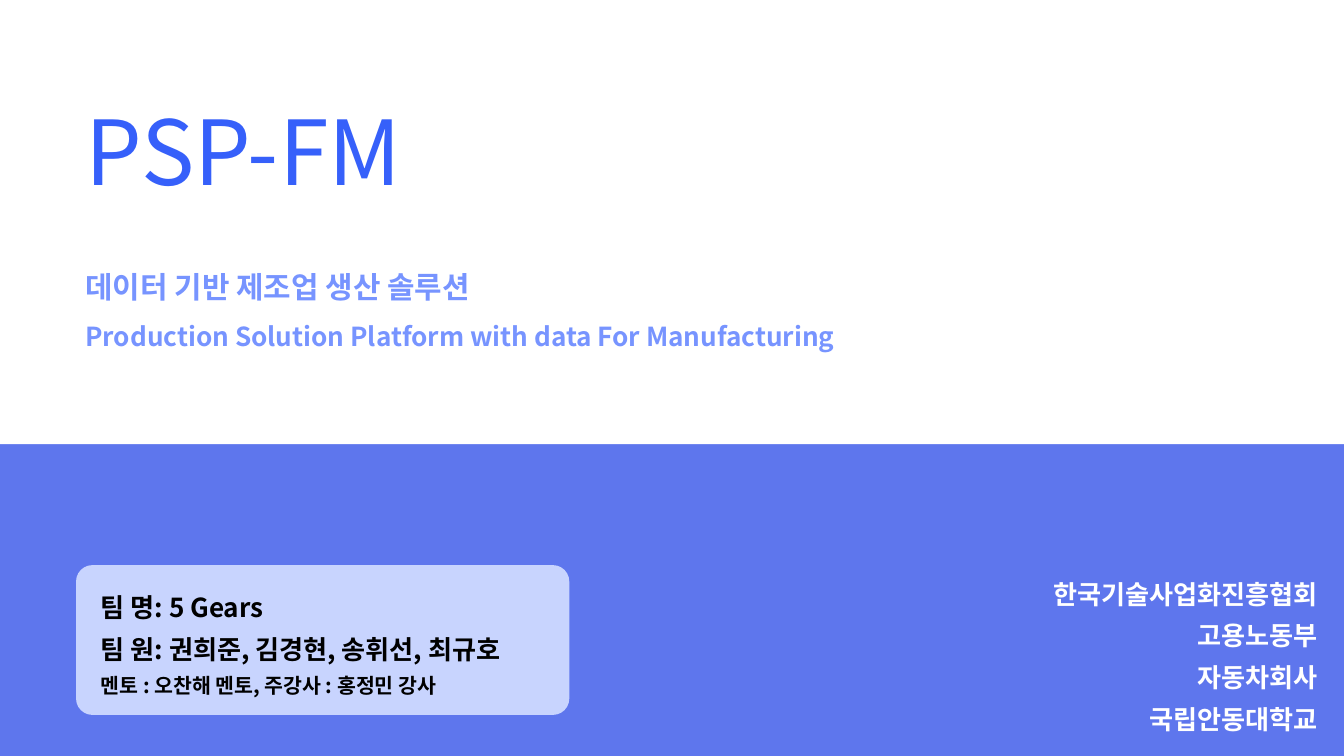
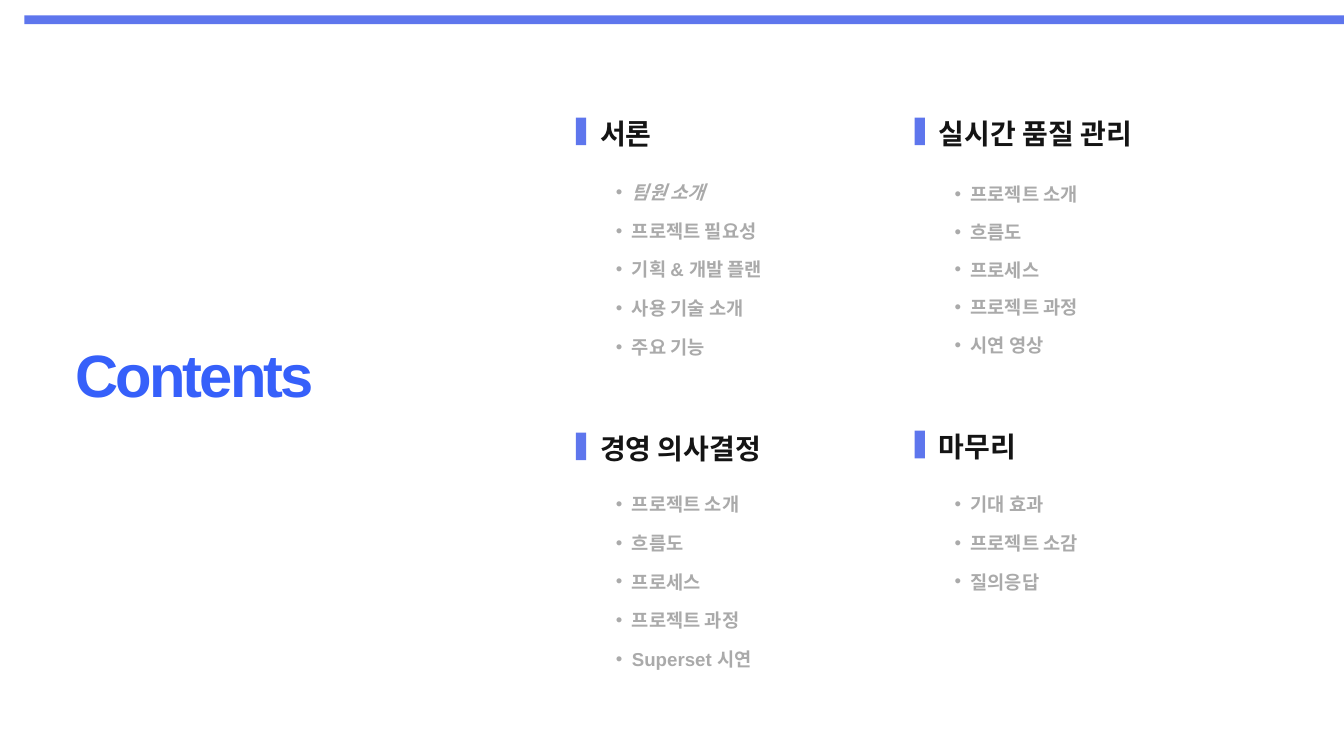
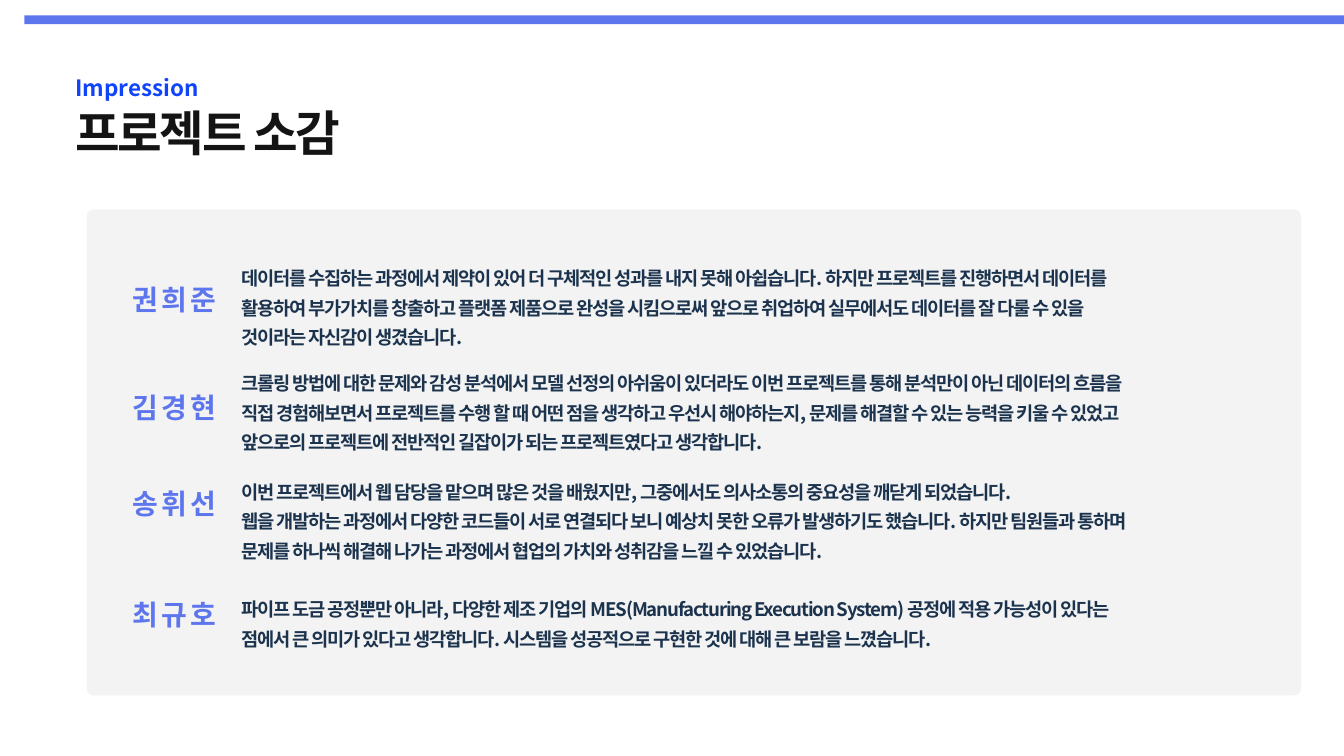
import pptx
import pptx.util
import pptx.dml.color
import pptx.enum.shapes
import pptx.enum.text
from lxml import etree

Pt = pptx.util.Pt
RGB = pptx.dml.color.RGBColor
SHAPE = pptx.enum.shapes.MSO_SHAPE
ALIGN = pptx.enum.text.PP_ALIGN
A = "{http://schemas.openxmlformats.org/drawingml/2006/main}"

COLORS = {
    "band": "5E76ED", "title": "3660FA", "subtitle": "7794FF", "label": "1044FB",
    "team": "C8D4FE", "panel": "F3F3F3", "white": "FFFFFF", "black": "000000",
    "heading": "141414", "item": "AAAAAA", "comment": "1C334E",
}
NOTO, ARIAL = "Noto Sans CJK KR", "Arial"

# font: attributes of the run font; line: exact line spacing; tracking: points
STYLES = {
    "project": {"font": {"name": NOTO, "size": Pt(96)}, "color": "title", "line": 115.2},
    "subtitle": {"font": {"name": NOTO, "size": Pt(32), "bold": True}, "color": "subtitle", "line": 38.4},
    "english": {"font": {"name": NOTO, "size": Pt(28), "bold": True}, "color": "subtitle", "line": 33.6},
    "team": {"font": {"name": NOTO, "size": Pt(28), "bold": True}, "color": "black", "line": 44.6},
    "mentor": {"font": {"name": NOTO, "size": Pt(22), "bold": True}, "color": "black", "line": 35},
    "partner": {"font": {"name": NOTO, "size": Pt(28), "bold": True}, "color": "white", "line": 44.6,
                "align": ALIGN.RIGHT},
    "contents": {"font": {"name": ARIAL, "size": Pt(64), "bold": True}, "color": "title", "line": 70.1,
                 "tracking": -3},
    "heading": {"font": {"name": ARIAL, "size": Pt(30), "bold": True}, "color": "heading", "line": 52},
    "item": {"font": {"name": ARIAL, "size": Pt(20), "bold": True}, "color": "item", "line": 34.6,
             "bullet": "•"},
    "current": {"font": {"name": ARIAL, "size": Pt(20), "bold": True, "italic": True}, "color": "item",
                "line": 34.6, "bullet": "•"},
    "label": {"font": {"name": NOTO, "size": Pt(24), "bold": True}, "color": "label", "line": 38},
    "title": {"font": {"name": ARIAL, "size": Pt(52), "bold": True}, "color": "heading", "line": 57,
              "tracking": -2.4},
    "member": {"font": {"name": NOTO, "size": Pt(30), "bold": True}, "color": "band", "line": 32.9,
               "tracking": -1.5, "align": ALIGN.CENTER},
    "comment": {"font": {"name": NOTO, "size": Pt(20), "bold": True}, "color": "comment", "line": 31.9,
                "tracking": -1.3},
}


def add_block(slide, box, color, radius=0):
    """Draw a plain filled rectangle, rounded when a radius in points is given."""
    kind = SHAPE.ROUNDED_RECTANGLE if radius else SHAPE.RECTANGLE
    block = slide.shapes.add_shape(kind, *map(Pt, box))
    if radius:
        block.adjustments[0] = radius / min(box[2:])
    block.shadow.inherit = False
    block.fill.solid()
    block.fill.fore_color.rgb = RGB.from_string(COLORS[color])
    block.line.fill.background()


def add_text(slide, box, *lines):
    """Add a text box; each line is a (style name, text) pair."""
    frame = slide.shapes.add_textbox(*map(Pt, box)).text_frame
    frame.word_wrap = True
    frame.vertical_anchor = pptx.enum.text.MSO_ANCHOR.MIDDLE
    for side in ("left", "top", "right", "bottom"):
        setattr(frame, f"margin_{side}", 0)
    for number, (style_name, text) in enumerate(lines):
        style = STYLES[style_name]
        paragraph = frame.add_paragraph() if number else frame.paragraphs[0]
        paragraph.alignment = style.get("align", ALIGN.LEFT)
        paragraph.line_spacing = Pt(style["line"])
        if "bullet" in style:
            paragraph.level = 1
            properties = paragraph._p.get_or_add_pPr()
            properties.set("marL", str(Pt(34)))
            properties.set("indent", str(Pt(-17)))
            etree.SubElement(properties, A + "buFont", typeface=ARIAL)
            etree.SubElement(properties, A + "buChar", char=style["bullet"])
        run = paragraph.add_run()
        run.text = text
        for attribute, value in style["font"].items():
            setattr(run.font, attribute, value)
        run.font.color.rgb = RGB.from_string(COLORS[style["color"]])
        run_properties = run._r.get_or_add_rPr()
        etree.SubElement(run_properties, A + "ea", typeface=NOTO)
        if "tracking" in style:
            run_properties.set("spc", str(round(style["tracking"] * 100)))


deck = pptx.Presentation()
deck.slide_width, deck.slide_height = Pt(1440), Pt(810)
cover, contents, impression = [deck.slides.add_slide(deck.slide_layouts[6]) for _ in range(3)]
for slide, background in ((cover, "band"), (contents, "white"), (impression, "white")):
    slide.background.fill.solid()
    slide.background.fill.fore_color.rgb = RGB.from_string(COLORS[background])
for slide in (contents, impression):
    add_block(slide, (26, 16.5, 1414, 9.5), "band")

# Cover
add_block(cover, (0, 0, 1440, 476), "white")
add_text(cover, (91.5, 91.5, 435.5, 137), ("project", "PSP-FM"))
add_text(cover, (91.5, 282, 601, 51), ("subtitle", "데이터 기반 제조업 생산 솔루션"))
add_text(cover, (91.5, 332, 838, 57),
         ("english", "Production Solution Platform with data For Manufacturing"))
add_block(cover, (81.5, 605.5, 528.5, 160.5), "team", radius=17.5)
add_text(cover, (108, 560, 612, 250),
         ("team", "팀 명: 5 Gears"),
         ("team", "팀 원: 권희준, 김경현, 송휘선, 최규호"),
         ("mentor", "멘토 : 오찬해 멘토, 주강사 : 홍정민 강사"))
partners = ("한국기술사업화진흥협회", "고용노동부", "자동차회사", "국립안동대학교")
add_text(cover, (1072, 608, 340, 179), *[("partner", partner) for partner in partners])

# Contents
add_text(contents, (80.5, 353, 342, 101), ("contents", "Contents"))
LEFT, RIGHT = 617, 980
sections = (
    # heading, left, marker top, first item top, item step, items
    ("서론", LEFT, 126, 167.5, 41.4,
     ("팀원 소개", "프로젝트 필요성", "기획 & 개발 플랜", "사용 기술 소개", "주요 기능")),
    ("실시간 품질 관리", RIGHT, 126, 169.5, 40.5,
     ("프로젝트 소개", "흐름도", "프로세스", "프로젝트 과정", "시연 영상")),
    ("경영 의사결정", LEFT, 463.5, 502, 41.4,
     ("프로젝트 소개", "흐름도", "프로세스", "프로젝트 과정", "Superset 시연")),
    ("마무리", RIGHT, 461.5, 502, 41.4, ("기대 효과", "프로젝트 소감", "질의응답")),
)
for heading, left, marker_top, items_top, step, items in sections:
    add_block(contents, (left, marker_top, 11, 29.5), "band")
    add_text(contents, (left + 26, marker_top - 27, 234, 72), ("heading", heading))
    for row, item in enumerate(items):
        style_name = "current" if item == "팀원 소개" else "item"
        add_text(contents, (left + 26, items_top + row * step, 210, 66), (style_name, item))

# Impression
add_text(impression, (80.5, 70.5, 280, 37.5), ("label", "Impression"))
add_text(impression, (80.5, 105, 613.5, 78), ("title", "프로젝트 소감"))
add_block(impression, (93, 224.5, 1301, 520.5), "panel", radius=7)
comments = (
    # member, name top, comment top, comment height, paragraphs
    ("권 희 준", 299.5, 278.5, 94.5, (
        "데이터를 수집하는 과정에서 제약이 있어 더 구체적인 성과를 내지 못해 아쉽습니다. "
        "하지만 프로젝트를 진행하면서 데이터를 활용하여 부가가치를 창출하고 플랫폼 제품으로 "
        "완성을 시킴으로써 앞으로 취업하여 실무에서도 데이터를 잘 다룰 수 있을 것이라는 "
        "자신감이 생겼습니다.",)),
    ("김 경 현", 415.5, 386, 104.5, (
        "크롤링 방법에 대한 문제와 감성 분석에서 모델 선정의 아쉬움이 있더라도 이번 프로젝트를 "
        "통해 분석만이 아닌 데이터의 흐름을 직접 경험해보면서 프로젝트를 수행 할 때 어떤 점을 "
        "생각하고 우선시 해야하는지, 문제를 해결할 수 있는 능력을 키울 수 있었고 앞으로의 "
        "프로젝트에 전반적인 길잡이가 되는 프로젝트였다고 생각합니다.",)),
    ("송 휘 선", 519, 502.5, 104.5, (
        "이번 프로젝트에서 웹 담당을 맡으며 많은 것을 배웠지만, 그중에서도 의사소통의 중요성을 "
        "깨닫게 되었습니다.",
        "웹을 개발하는 과정에서 다양한 코드들이 서로 연결되다 보니 예상치 못한 오류가 "
        "발생하기도 했습니다. 하지만 팀원들과 통하며 문제를 하나씩 해결해 나가는 과정에서 "
        "협업의 가치와 성취감을 느낄 수 있었습니다.")),
    ("최 규 호", 637, 620, 89.5, (
        "파이프 도금 공정뿐만 아니라, 다양한 제조 기업의 MES(Manufacturing Execution System) "
        "공정에 적용 가능성이 있다는 점에서 큰 의미가 있다고 생각합니다. 시스템을 성공적으로 "
        "구현한 것에 대해 큰 보람을 느꼈습니다.",)),
)
for member, name_top, comment_top, height, paragraphs in comments:
    add_text(impression, (80.5, name_top, 213, 44.5), ("member", member))
    add_text(impression, (258.5, comment_top, 952.5, height),
             *[("comment", paragraph) for paragraph in paragraphs])

deck.save("out.pptx")
